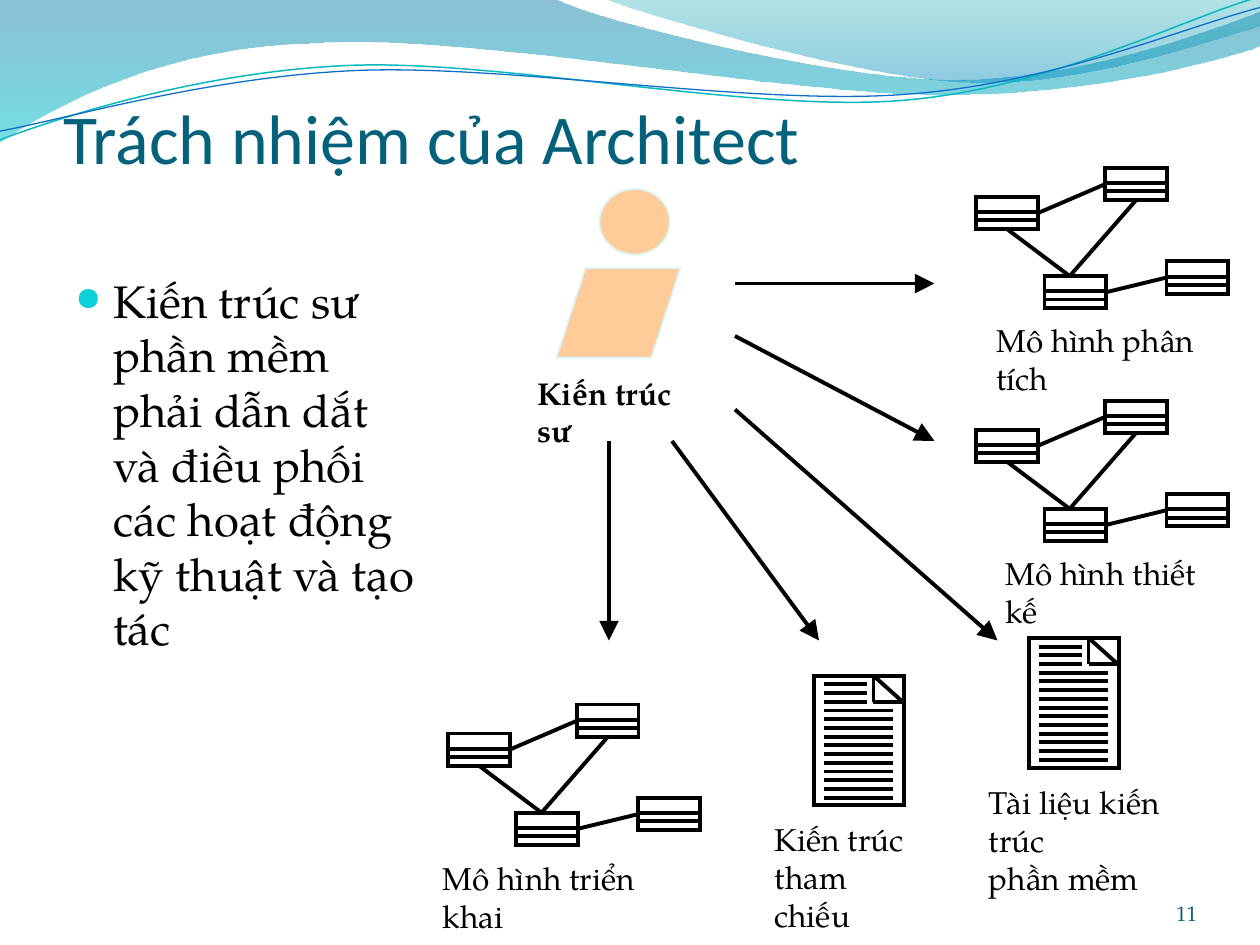
from lxml import etree
from pptx import Presentation
from pptx.dml.color import RGBColor
from pptx.enum.shapes import MSO_CONNECTOR, MSO_SHAPE
from pptx.enum.text import MSO_ANCHOR, PP_ALIGN
from pptx.oxml.ns import qn
from pptx.util import Inches, Pt

STRAIGHT = MSO_CONNECTOR.STRAIGHT
RECTANGLE, OVAL = MSO_SHAPE.RECTANGLE, MSO_SHAPE.OVAL
PARALLELOGRAM = MSO_SHAPE.PARALLELOGRAM
BOTTOM_ANCHOR = MSO_ANCHOR.BOTTOM
LEFT_ALIGN, RIGHT_ALIGN = PP_ALIGN.LEFT, PP_ALIGN.RIGHT
TOP, LEFT, BOTTOM, RIGHT = range(4)  # connection sites of a rectangle

CELL = Inches(1) / 12  # the slide is a grid of 120 columns by 90 rows
SERIF = "TeX Gyre Pagella"
BLACK = "000000"

# Waves: start point in inches, then curves (control, control, end) or lines
BANDS = [
    ((0, 0), [[(4.4, -0.01)], [(4.76, 0.17), (6.64, 0.63), (7.58, 0.63)],
              [(8.53, 0.63), (9.58, 0.26), (10, 0.09)], [(10.01, 0.36)],
              [(9.83, 0.44), (8.7, 0.76), (7.46, 0.75)],
              [(6.22, 0.75), (3.82, 0.28), (2.57, 0.34)],
              [(1.29, 0.36), (0.46, 0.83), (-0.01, 1.13)]],
     [("0074A1", 45), ("00C6CF", 55)]),
    ((4.79, -0.01), [[(5.09, 0.11), (6.82, 0.62), (7.69, 0.65)],
                     [(8.56, 0.69), (9.61, 0.32), (10, 0.21)], [(10, 0)]],
     [("00A1A9", 30), ("008BBF", 45)]),
]
WAVE_LINES = [
    ((0, 1.11), [[(0.48, 0.93), (1.58, 0.57), (2.77, 0.52)],
                 [(3.95, 0.47), (5.93, 0.89), (7.13, 0.8)],
                 [(8.33, 0.71), (9.38, 0.15), (9.98, -0.02)]], "0AB8BF", 0.85),
    ((0, 1.04), [[(0.47, 0.96), (1.64, 0.61), (2.83, 0.56)],
                 [(4.03, 0.51), (5.97, 0.84), (7.17, 0.75)],
                 [(8.36, 0.67), (9.41, 0.21), (10, 0.06)]], "0F6FC6", 0.75),
]

# Grid positions: left, top (and width for labels)
MODELS = [(93, 16), (93, 38.16), (42.7, 67.1)]
DOCUMENTS = [(98.03, 60.75), (77.55, 64.35)]
ARROWS = [(58, 42, 58, 61), (70, 27, 89, 27), (70, 32, 89, 42),
          (70, 39, 95, 61), (64, 42, 78, 61)]
LABELS = [
    (50, 35, 17.5, ["Kiến trúc sư"], True),
    (93.7, 30, 25.1, ["Mô hình phân tích"], False),
    (94.6, 52.2, 22.8, ["Mô hình thiết kế"], False),
    (41, 81.2, 25.2, ["Mô hình triển khai"], False),
    (93, 74, 22.6, ["Tài liệu kiến trúc", "phần mềm"], False),
    (72.6, 77.55, 16.8, ["Kiến trúc", "tham chiếu"], False),
]


def cells(*values):
    return [round(value * CELL) for value in values]


def color(hex_string):
    return RGBColor.from_string(hex_string)


def set_line(shape, hex_string=BLACK, width=2.25):
    shape.line.color.rgb = color(hex_string)
    shape.line.width = Pt(width)


def add_box(slide, kind, position, fill=None, line=BLACK, width=2.25):
    shape = slide.shapes.add_shape(kind, *cells(*position))
    shape.shadow.inherit = False
    if fill:
        shape.fill.solid()
        shape.fill.fore_color.rgb = color(fill)
    else:
        shape.fill.background()
    set_line(shape, line, width)
    etree.SubElement(shape.line._get_or_add_ln(), qn("a:miter"), lim="800000")
    return shape


def add_line(slide, x1, y1, x2, y2, arrow=False):
    connector = slide.shapes.add_connector(STRAIGHT, *cells(x1, y1, x2, y2))
    set_line(connector)
    if arrow:
        etree.SubElement(connector.line._get_or_add_ln(), qn("a:tailEnd"),
                         type="triangle", w="lg", len="lg")
    etree.SubElement(connector._element.spPr, qn("a:effectLst"))
    return connector


def write(frame, lines, size, font=SERIF, hex_string=BLACK, bold=False, **frame_format):
    frame.word_wrap = True
    for name, value in frame_format.items():
        setattr(frame, name, value)
    for index, line in enumerate(lines):
        paragraph = frame.add_paragraph() if index else frame.paragraphs[0]
        run = paragraph.add_run()
        run.text = line
        values = {"size": Pt(size), "name": font, "bold": bold}
        for name, value in values.items():
            setattr(run.font, name, value)
        run.font.color.rgb = color(hex_string)
    return frame.paragraphs[0]


def add_text(slide, position, lines, size, **text_format):
    box = slide.shapes.add_textbox(*cells(*position))
    return write(box.text_frame, lines, size, **text_format)


def add_bullet(paragraph):
    properties = paragraph._p.get_or_add_pPr()
    properties.set("marL", str(Inches(0.3)))
    properties.set("indent", str(-Inches(0.3)))
    bullet_color = etree.SubElement(properties, qn("a:buClr"))
    etree.SubElement(bullet_color, qn("a:srgbClr"), val="0BD0D9")
    etree.SubElement(properties, qn("a:buSzPct"), val="72000")
    etree.SubElement(properties, qn("a:buChar"), char="●")


def add_wave(slide, start, segments, closed):
    places = [(Inches(x), Inches(y)) for segment in segments for x, y in segment]
    builder = slide.shapes.build_freeform(Inches(start[0]), Inches(start[1]))
    builder.add_line_segments(places, close=closed)
    shape = builder.convert_to_shape()
    shape.shadow.inherit = False
    # Join each three points of a curve into one Bézier segment
    steps = iter(list(shape._element.iter(qn("a:lnTo"))))
    for segment in segments:
        first, *others = [next(steps) for _ in segment]
        if others:
            curve = etree.Element(qn("a:cubicBezTo"))
            first.addprevious(curve)
            for step in (first, *others):
                curve.append(step[0])
                step.getparent().remove(step)
    return shape


def add_waves(slide):
    for start, segments, stops in BANDS:
        band = add_wave(slide, start, segments, True)
        band.line.fill.background()
        band.fill.gradient()
        band.fill.gradient_angle = 270
        for stop, (hex_string, opacity) in zip(band.fill.gradient_stops, stops):
            stop.color.rgb = color(hex_string)
            etree.SubElement(stop._gs[0], qn("a:alpha"), val=str(opacity * 1000))
    for start, segments, hex_string, width in WAVE_LINES:
        wave = add_wave(slide, start, segments, False)
        wave.fill.background()
        set_line(wave, hex_string, width)


def add_model(slide, left, top):
    """Four class boxes joined by links."""
    boxes = []
    for dx, dy in [(0, 2.76), (12.27, 0), (6.48, 10.3), (18.1, 8.9)]:
        x, y = left + dx, top + dy
        boxes.append(add_box(slide, RECTANGLE, (x, y, 5.85, 3.07)))
        for row in (1.45, 2.23):
            add_line(slide, x, y + row, x + 5.85, y + row)
    first, second, third, fourth = boxes
    joint = (left + 8.88, top + 10.3)
    for box in (first, second):
        add_line(slide, *joint, *joint).end_connect(box, BOTTOM)
    for begin, end in [(first, second), (third, fourth)]:
        link = add_line(slide, *joint, *joint)
        link.begin_connect(begin, RIGHT)
        link.end_connect(end, LEFT)


def add_document(slide, left, top):
    """Page with a folded corner and 14 lines of writing."""
    add_box(slide, RECTANGLE, (left, top, 8.52, 12.36))
    fold, right, low = left + 5.64, left + 8.45, top + 2.52
    for ends in [(fold, top, right, low), (fold, top, fold, low), (right, low, fold, low)]:
        add_line(slide, *ends)
    for row in range(1, 15):
        y = top + row * 0.83
        add_line(slide, left + 0.9, y, left + (5.04 if row <= 3 else 7.5), y)


def main():
    presentation = Presentation()
    presentation.slide_width, presentation.slide_height = cells(120, 90)
    slide = presentation.slides.add_slide(presentation.slide_layouts[5])
    add_waves(slide)

    # Title, in front of the waves
    title = slide.shapes.title
    slide.shapes._spTree.append(title._element)
    title.left, title.top, title.width, title.height = cells(6, 9.25, 72, 7.8)
    paragraph = write(title.text_frame, ["Trách nhiệm của Architect"], 40, "Calibri", "04617B",
                      vertical_anchor=BOTTOM_ANCHOR, margin_left=0, margin_right=0,
                      margin_bottom=0)
    paragraph.alignment = LEFT_ALIGN

    # Body and slide number
    body = "Kiến trúc sư phần mềm phải dẫn dắt và điều phối các hoạt động kỹ thuật và tạo tác"
    add_bullet(add_text(slide, (6, 25.4, 35, 55.6), [body], 26))
    number = add_text(slide, (104, 83.4, 10, 4.8), ["11"], 12, hex_string="045D75",
                      vertical_anchor=BOTTOM_ANCHOR, margin_right=0, margin_bottom=0)
    number.alignment = RIGHT_ALIGN

    # Architect
    add_box(slide, OVAL, (57.1, 18, 6.7, 6.25), "FFCC99", "DBF5F9", 1)
    torso = add_box(slide, PARALLELOGRAM, (53, 25.55, 11.8, 8.5), "FFCC99", "DBF5F9", 1)
    torso.adjustments[0] = 0.325

    # Artifacts, arrows and labels
    for position in MODELS:
        add_model(slide, *position)
    for position in DOCUMENTS:
        add_document(slide, *position)
    for ends in ARROWS:
        add_line(slide, *ends, arrow=True)
    for left, top, width, lines, bold in LABELS:
        add_text(slide, (left, top, width, 4.8), lines, 18, bold=bold)

    presentation.save("out.pptx")


if __name__ == "__main__":
    main()
